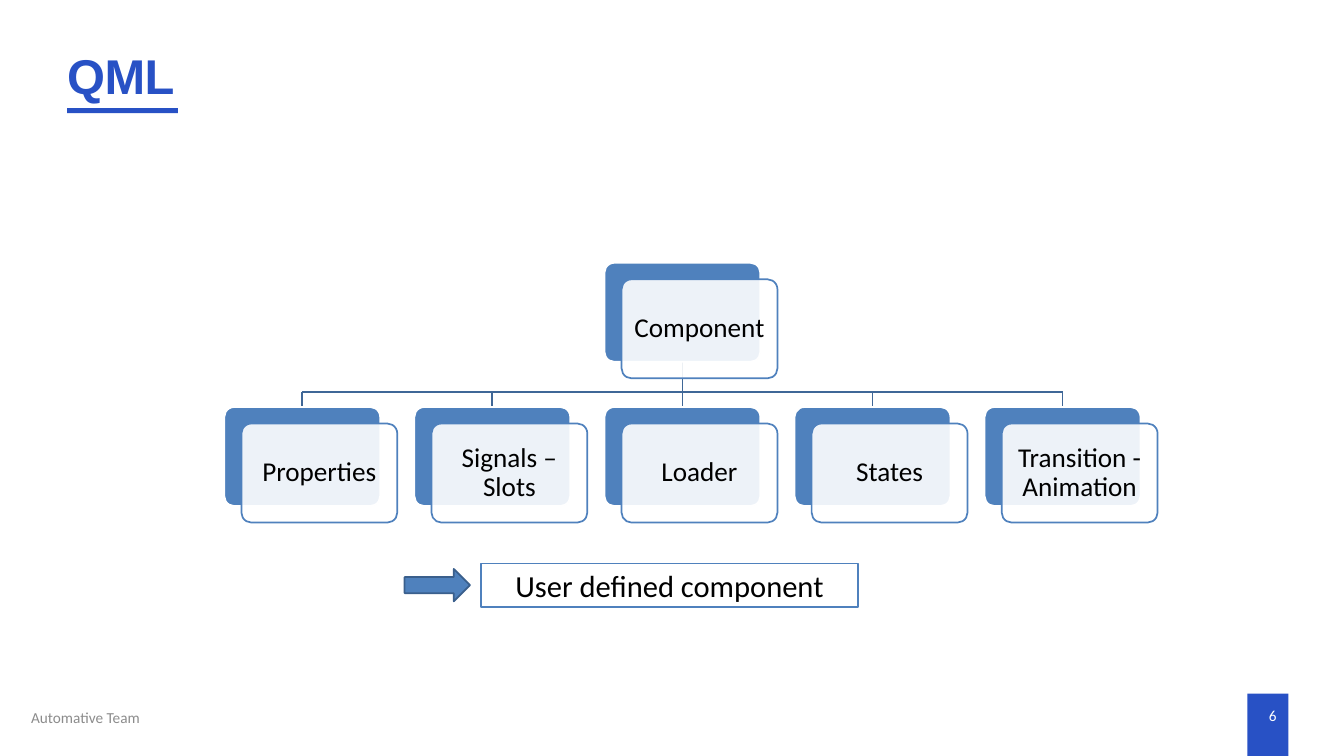
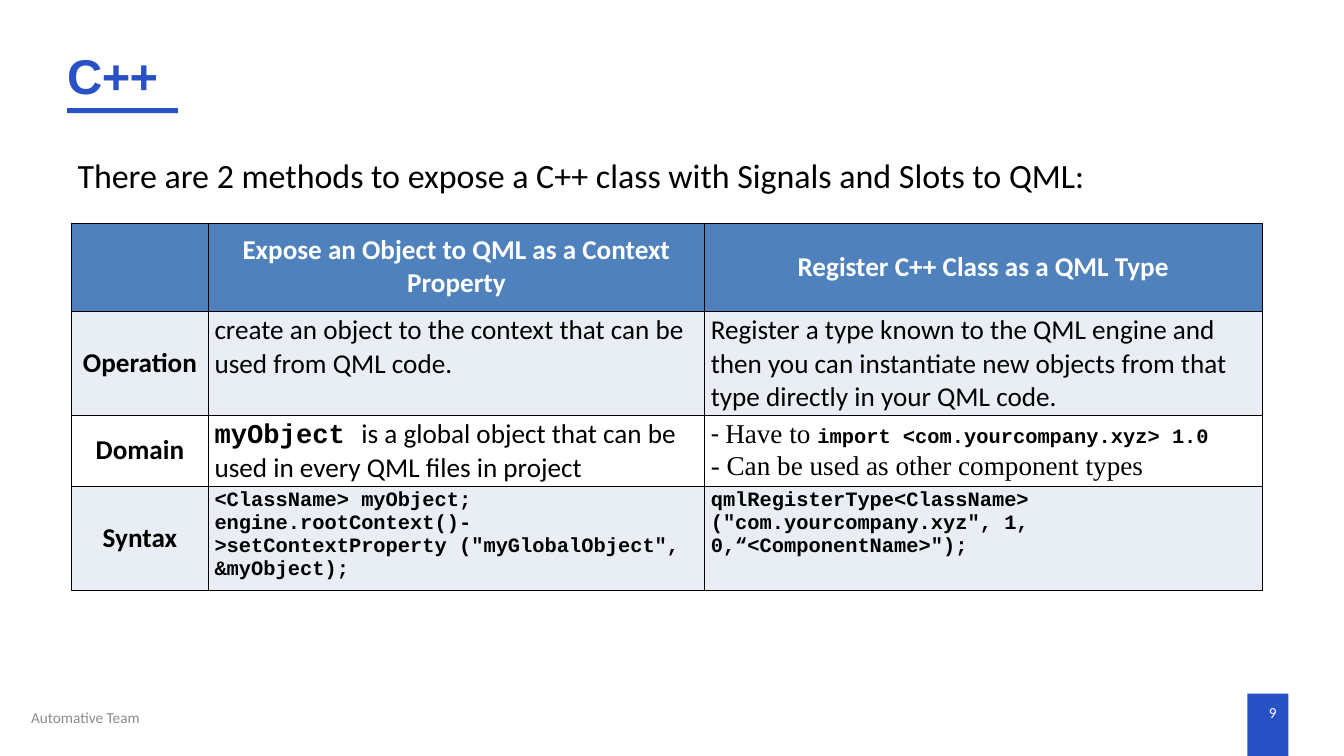
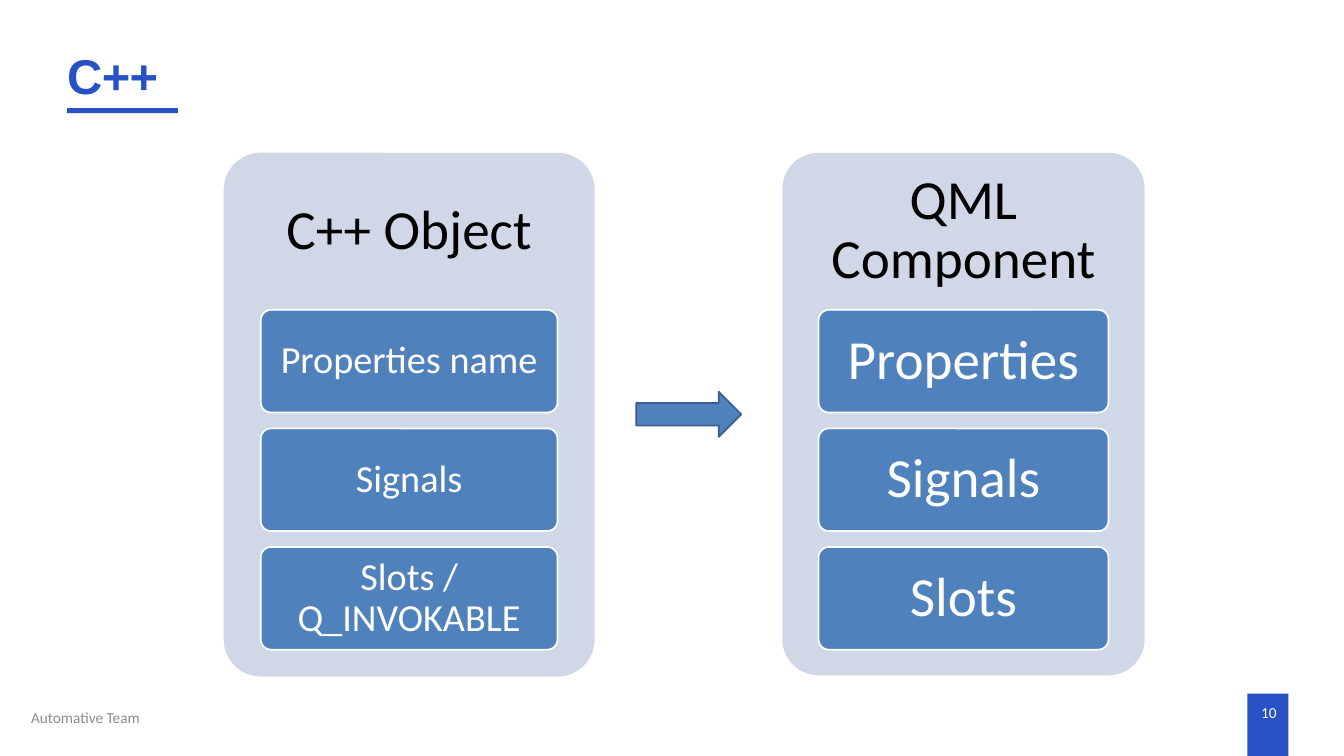
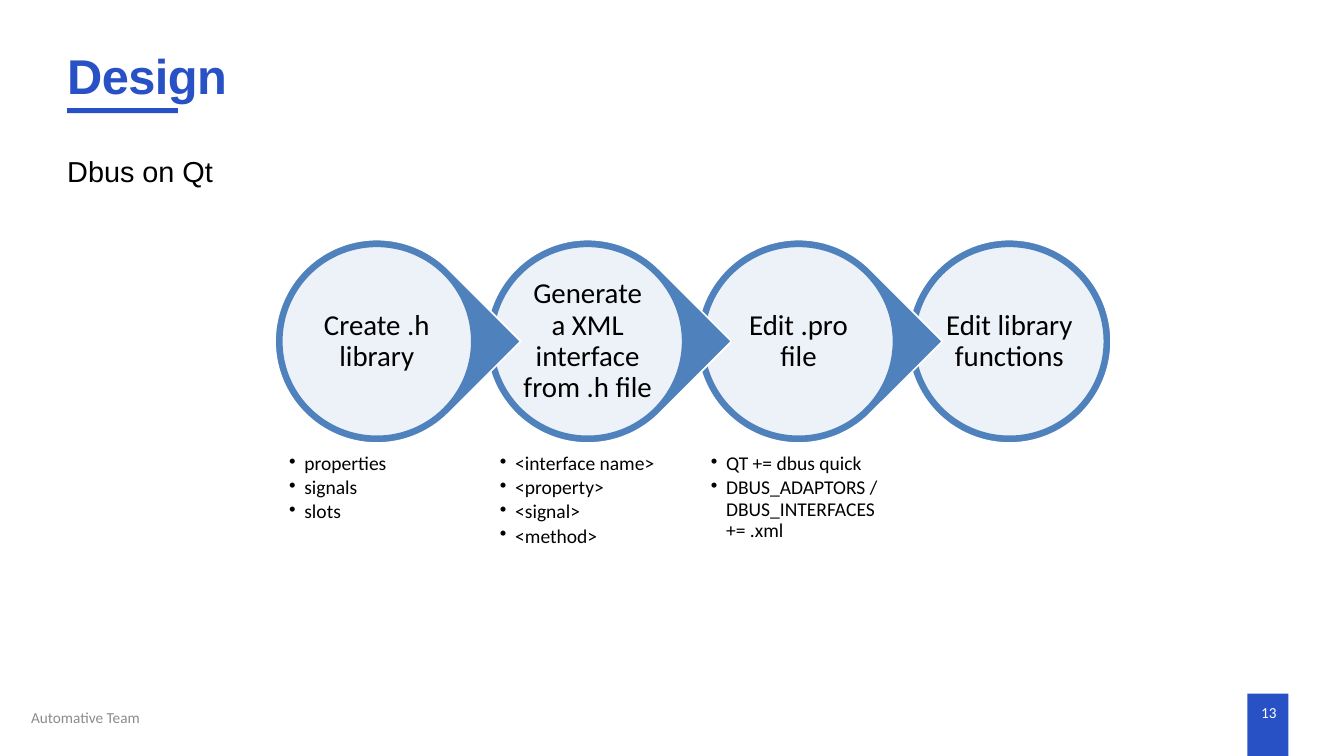
from dataclasses import dataclass

from lxml.etree import SubElement
from pptx import Presentation
from pptx.dml.color import RGBColor
from pptx.enum.shapes import MSO_CONNECTOR, MSO_SHAPE
from pptx.enum.text import MSO_ANCHOR, PP_ALIGN
from pptx.oxml.ns import qn
from pptx.util import Inches, Pt


@dataclass(frozen=True)
class Theme:
    # Colours
    brand: str = "2851C5"
    blue: str = "4F81BD"
    arrow_edge: str = "3A5F8C"
    branch: str = "3F6797"
    panel: str = "D0D8E8"
    stripe: str = "E9EDF4"
    white: str = "FFFFFF"
    black: str = "000000"
    grey: str = "8C8C8C"
    # Fonts
    heading_font: str = "Arial"
    body_font: str = "Calibri"
    code_font: str = "Courier New"
    serif_font: str = "Times New Roman"
    # Type sizes
    title: float = 57.5
    panel_title: float = 65
    item: float = 45
    intro: float = 40
    callout: float = 36
    step: float = 34
    body: float = 32
    code: float = 24
    bullet: float = 23
    footer: float = 18


THEME = Theme()


def colour(value):
    return RGBColor.from_string(value)


# ---- Text ----
def write_text(frame, paragraphs, size=THEME.body, font=THEME.body_font,
               color=THEME.black, bold=False, align=PP_ALIGN.LEFT,
               anchor=MSO_ANCHOR.TOP, margins=(0.1, 0.05, 0.1, 0.05),
               line_spacing=None, tracking=None, bullets=False):
    """Fill a frame; a paragraph is a string or a list of (text, format) spans."""
    frame.word_wrap = True
    frame.vertical_anchor = anchor
    (frame.margin_left, frame.margin_top,
     frame.margin_right, frame.margin_bottom) = map(Inches, margins)
    if isinstance(paragraphs, str):
        paragraphs = [paragraphs]
    for index, spans in enumerate(paragraphs):
        para = frame.add_paragraph() if index else frame.paragraphs[0]
        para.alignment = align
        if line_spacing:
            para.line_spacing = line_spacing
        if bullets:
            add_bullet(para)
        for text, changes in ([(spans, {})] if isinstance(spans, str) else spans):
            style = {"size": size, "font": font, "bold": bold, **changes}
            span = para.add_run()
            span.text = text
            span.font.size = Pt(style["size"])
            span.font.name = style["font"]
            span.font.bold = style["bold"]
            span.font.color.rgb = colour(color)
            if tracking:
                span.font._element.set("spc", str(int(tracking * 100)))


def add_bullet(para):
    para.space_after = Pt(3.5)
    properties = para._p.get_or_add_pPr()
    properties.set("marL", str(Inches(0.25)))
    properties.set("indent", str(-Inches(0.25)))
    SubElement(properties, qn("a:buChar")).set("char", "•")


def add_text(page, left, top, width, height, paragraphs, **style):
    box = page.shapes.add_textbox(*map(Inches, (left, top, width, height)))
    write_text(box.text_frame, paragraphs, **style)


# ---- Shapes and lines ----
def add_box(page, kind, left, top, width, height, fill, line=None,
            opacity=None, adjust=None, text=None, **style):
    box = page.shapes.add_shape(kind, *map(Inches, (left, top, width, height)))
    box.shadow.inherit = False
    box.fill.solid()
    box.fill.fore_color.rgb = colour(fill)
    if opacity:
        solid = box.fill._xPr.find(qn("a:solidFill"))
        SubElement(solid[0], qn("a:alpha")).set("val", str(opacity * 1000))
    if line:
        box.line.color.rgb = colour(line)
        box.line.width = Pt(2)
    else:
        box.line.fill.background()
    if adjust is not None:
        box.adjustments[0] = adjust
    if text:
        write_text(box.text_frame, text, align=PP_ALIGN.CENTER,
                   anchor=MSO_ANCHOR.MIDDLE, **style)
    return box


def add_line(page, x1, y1, x2, y2):
    line = page.shapes.add_connector(
        MSO_CONNECTOR.STRAIGHT, *map(Inches, (x1, y1, x2, y2)))
    line.line.color.rgb = colour(THEME.branch)
    line.line.width = Pt(2)
    SubElement(line._element.spPr, qn("a:effectLst"))
    return line


def add_arrow(page, left, top, width, height):
    add_box(page, MSO_SHAPE.RIGHT_ARROW, left, top, width, height,
            THEME.blue, THEME.arrow_edge)


# ---- Shared page frame ----
def add_page(deck, title, number, number_top=11.5):
    page = deck.slides.add_slide(deck.slide_layouts[6])
    flush = (0, 0, 0, 0)
    add_box(page, MSO_SHAPE.RECTANGLE, 20.41, 11.35, 0.67, 1.02, THEME.brand)
    add_box(page, MSO_SHAPE.RECTANGLE, 1.1, 1.77, 1.81, 0.08, THEME.brand)
    add_text(page, 1.1, 0.73, 19.79, 0.98, title, size=THEME.title,
             font=THEME.heading_font, color=THEME.brand, bold=True,
             margins=(0, 0.02, 0, 0), tracking=-0.7)
    add_text(page, 15.83, number_top, 5.06, 0.3, str(number), size=THEME.footer,
             color=THEME.white, align=PP_ALIGN.RIGHT, margins=flush)
    add_text(page, 0.51, 11.59, 7.04, 0.3, "Automative Team",
             size=THEME.footer, color=THEME.grey, margins=flush)
    return page


# ---- Component tree ----
CARD_WIDTH, CARD_HEIGHT = 2.55, 1.62


def add_card(page, left, top, text):
    """Draw a blue card with a translucent label card over it."""
    back = add_box(page, MSO_SHAPE.ROUNDED_RECTANGLE, left, top, CARD_WIDTH,
                   CARD_HEIGHT, THEME.blue, THEME.white, adjust=0.1)
    add_box(page, MSO_SHAPE.ROUNDED_RECTANGLE, left + 0.28, top + 0.27,
            CARD_WIDTH, CARD_HEIGHT, THEME.white, THEME.blue, opacity=90,
            adjust=0.1, text=text, margins=(0.13,) * 4, line_spacing=0.9)
    return back


def build_component_tree(deck):
    page = add_page(deck, "QML", 6, number_top=11.55)
    labels = ["Properties", "Signals – Slots", "Loader", "States",
              "Transition - Animation"]
    root_top, child_top, bar_top = 4.3, 6.66, 6.42
    lefts = [3.67 + 3.11 * index for index in range(len(labels))]
    centers = [left + CARD_WIDTH / 2 for left in lefts]
    middle = len(labels) // 2

    # Branches lie behind the cards; the middle one is the trunk
    add_line(page, centers[0], bar_top, centers[-1], bar_top)
    drops = [add_line(page, center, bar_top, center, child_top)
             for center in centers]
    root = add_card(page, lefts[middle], root_top, "Component")
    drops[middle].begin_connect(root, 2)
    for drop, left, label in zip(drops, lefts, labels):
        drop.end_connect(add_card(page, left, child_top, label), 0)

    # Callout
    add_box(page, MSO_SHAPE.RECTANGLE, 7.87, 9.22, 6.17, 0.71, THEME.white,
            THEME.blue, text="User defined component", size=THEME.callout)
    add_arrow(page, 6.62, 9.31, 1.07, 0.53)


# ---- Comparison table ----
def add_borders(cell):
    properties = cell._tc.get_or_add_tcPr()
    for index, side in enumerate(("lnL", "lnR", "lnT", "lnB")):
        edge = SubElement(properties, qn(f"a:{side}"), w=str(Pt(1)))
        fill = SubElement(edge, qn("a:solidFill"))
        SubElement(fill, qn("a:srgbClr"), val=THEME.black)
        properties.insert(index, edge)


def add_table(page, left, top, widths, heights, rows):
    """Draw a table whose first row and first column are headings."""
    table = page.shapes.add_table(
        len(rows), len(widths),
        *map(Inches, (left, top, sum(widths), sum(heights)))).table
    for column, width in zip(table.columns, widths):
        column.width = Inches(width)
    for row, height in zip(table.rows, heights):
        row.height = Inches(height)
    for row_index, row in enumerate(rows):
        for column_index, content in enumerate(row):
            cell = table.cell(row_index, column_index)
            is_header = row_index == 0
            is_heading = is_header or column_index == 0
            cell.fill.solid()
            cell.fill.fore_color.rgb = colour(
                THEME.blue if is_header
                else THEME.stripe if row_index % 2 else THEME.white)
            add_borders(cell)
            write_text(cell.text_frame, content, bold=is_heading,
                       color=THEME.white if is_header else THEME.black,
                       align=PP_ALIGN.CENTER if is_heading else PP_ALIGN.LEFT)
            cell.vertical_anchor = (MSO_ANCHOR.MIDDLE if is_heading
                                    else MSO_ANCHOR.TOP)


def build_comparison(deck):
    page = add_page(deck, "C++", 9)
    mono = {"font": THEME.code_font, "bold": True}
    code = {**mono, "size": THEME.code}
    serif = {"font": THEME.serif_font}
    rows = [
        ["", "Expose an Object to QML as a Context Property",
         "Register C++ Class as a QML Type"],
        ["Operation",
         "create an object to the context that can be used from QML code.",
         "Register a type known to the QML engine and then you can instantiate "
         "new objects from that type directly in your QML code."],
        ["Domain",
         [[("myObject ", mono),
           ("is a global object that can be used in every QML files in project",
            {})]],
         [[("- ", {}), ("Have to ", serif),
           ("import <com.yourcompany.xyz> 1.0", code)],
          [("- Can be used as other component types", serif)]]],
        ["Syntax",
         [[("<ClassName> myObject;", code)],
          [('engine.rootContext()->setContextProperty ("myGlobalObject", '
            '&myObject);', code)]],
         [[('qmlRegisterType<ClassName> ("com.yourcompany.xyz", 1, '
            '0,“<ComponentName>");', code)]]],
    ]
    add_table(page, 1.17, 3.65, [2.24, 8.12, 9.12], [1.44, 1.12, 1.12, 1.12],
              rows)
    add_text(page, 1.17, 2.48, 19.48, 0.77,
             "There are 2 methods to expose a C++ class with Signals and Slots "
             "to QML:", size=THEME.intro)


# ---- Object mapping ----
def add_panel(page, left, width, height, title, items, size, margins):
    top, title_height, pitch = 2.5, 2.57, 1.94
    item_width = width * 0.8
    add_box(page, MSO_SHAPE.ROUNDED_RECTANGLE, left, top, width, height,
            THEME.panel, adjust=0.1)
    add_text(page, left, top, width, title_height, title,
             size=THEME.panel_title, align=PP_ALIGN.CENTER,
             anchor=MSO_ANCHOR.MIDDLE, margins=(0.27,) * 4, line_spacing=0.9)
    for index, item in enumerate(items):
        add_box(page, MSO_SHAPE.ROUNDED_RECTANGLE, left + width * 0.1,
                top + title_height + pitch * index, item_width, 1.68,
                THEME.blue, THEME.white, adjust=0.1, text=item, size=size,
                color=THEME.white, margins=margins, line_spacing=0.9)


def build_object_mapping(deck):
    page = add_page(deck, "C++", 10)
    add_arrow(page, 10.41, 6.41, 1.72, 0.74)
    add_panel(page, 3.66, 6.07, 8.57, "C++ Object",
              ["Properties name", "Signals", "Slots / Q_INVOKABLE"],
              THEME.item, (0.12, 0.09, 0.12, 0.09))
    add_panel(page, 12.8, 5.93, 8.55, "QML Component",
              ["Properties", "Signals", "Slots"],
              THEME.panel_title, (0.18, 0.14, 0.18, 0.14))


# ---- Process ----
def add_step(page, left, text, details, is_last):
    top, diameter, rim = 4.03, 3.11, 0.11
    outer = add_box(page, MSO_SHAPE.OVAL if is_last else MSO_SHAPE.TEAR,
                    left - rim, top - rim, diameter + 2 * rim,
                    diameter + 2 * rim, THEME.blue, THEME.white,
                    adjust=None if is_last else 1)
    if not is_last:
        outer.rotation = 45
    add_box(page, MSO_SHAPE.OVAL, left, top, diameter, diameter, THEME.white,
            THEME.blue, opacity=90, text=text, size=THEME.step,
            margins=(0.05,) * 4, line_spacing=0.9)
    if details:
        add_text(page, left, 7.31, diameter, 1.83, details, size=THEME.bullet,
                 margins=(0.12,) * 4, line_spacing=0.9, bullets=True)


def build_process(deck):
    page = add_page(deck, "Design", 13)
    add_text(page, 1.1, 2.52, 4.26, 0.57, "Dbus on Qt", size=THEME.step,
             font=THEME.heading_font, margins=(0, 0, 0, 0))
    steps = [
        ("Create .h library", ["properties", "signals", "slots"]),
        ("Generate a XML interface from .h file",
         ["<interface name>", "<property>", "<signal>", "<method>"]),
        ("Edit .pro file",
         ["QT += dbus quick", "DBUS_ADAPTORS / DBUS_INTERFACES += .xml"]),
        ("Edit library functions", []),
    ]
    # Each earlier step overlaps the next one
    for index, (text, details) in reversed(list(enumerate(steps))):
        add_step(page, 4.61 + 3.45 * index, text, details,
                 is_last=index == len(steps) - 1)


def main():
    deck = Presentation()
    deck.slide_width, deck.slide_height = Inches(21.99), Inches(12.37)
    build_component_tree(deck)
    build_comparison(deck)
    build_object_mapping(deck)
    build_process(deck)
    deck.save("out.pptx")


if __name__ == "__main__":
    main()
